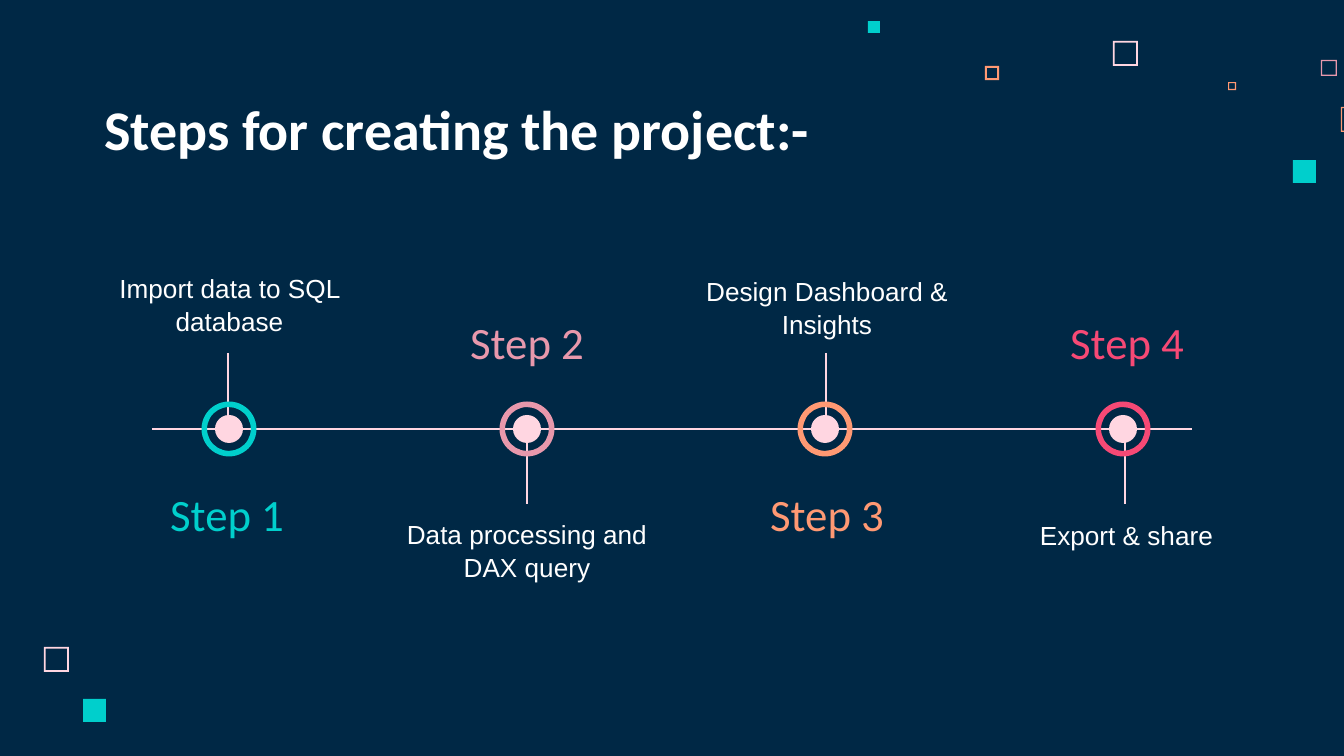
from lxml.etree import SubElement
from pptx import Presentation
from pptx.dml.color import RGBColor
from pptx.enum.shapes import MSO_CONNECTOR, MSO_SHAPE
from pptx.enum.text import MSO_ANCHOR, PP_ALIGN
from pptx.oxml.ns import qn
from pptx.util import Emu, Pt

NAVY = RGBColor(0x00, 0x28, 0x45)
WHITE = RGBColor(0xFF, 0xFF, 0xFF)
BLUSH = RGBColor(0xFF, 0xD6, 0xE1)
TEAL = RGBColor(0x00, 0xCF, 0xCC)
ROSE = RGBColor(0xE8, 0x98, 0xAC)
ORANGE = RGBColor(0xFF, 0x99, 0x73)
CRIMSON = RGBColor(0xF6, 0x49, 0x75)

PX_PER_INCH = 134.4
AXIS_Y = 429
DOT_SIZE, RING_SIZE = 28, 55

# Left, top, size, colour; frames also have a relative thickness
FRAMES = [
    (1113, 41, 25, BLUSH, 0.07),
    (1321, 60, 16, ROSE, 0.08),
    (1228, 82, 8, ORANGE, 0.15),
    (1341, 107, 25, ORANGE, 0.05),
    (985, 66, 14, ORANGE, 0.13),
    (44, 647, 25, BLUSH, 0.07),
]
SQUARES = [(1293, 160, 23, TEAL), (868, 21, 12, TEAL), (83, 699, 23, TEAL)]

# Description, its box, and the step colour
STEPS = [
    ("Import data to SQL database", (91, 255, 277, 95), TEAL),
    ("Data processing and DAX query", (372, 504, 310, 95), ROSE),
    ("Design Dashboard & Insights", (672, 258, 310, 95), ORANGE),
    ("Export & share", (988, 505, 277, 95), CRIMSON),
]


def px(length):
    return Emu(round(length * 914400 / PX_PER_INCH))


def add_filled(slide, kind, left, top, size, color, thickness=None):
    shape = slide.shapes.add_shape(kind, px(left), px(top), px(size), px(size))
    shape.shadow.inherit = False
    shape.fill.solid()
    shape.fill.fore_color.rgb = color
    shape.line.fill.background()
    if thickness is not None:
        shape.adjustments[0] = thickness
    return shape


def add_line(slide, start_x, start_y, end_x, end_y):
    line = slide.shapes.add_connector(
        MSO_CONNECTOR.STRAIGHT, px(start_x), px(start_y), px(end_x), px(end_y))
    line.line.color.rgb = BLUSH
    line.line.width = Pt(1.5)
    SubElement(line._element.spPr, qn("a:effectLst"))


def write_text(box, text, *, size, font, color=WHITE, bold=False,
               align=PP_ALIGN.CENTER, anchor=MSO_ANCHOR.MIDDLE, spacing=1.0):
    frame = box.text_frame
    frame.word_wrap = True
    frame.vertical_anchor = anchor
    frame.margin_left = frame.margin_right = px(13)
    frame.margin_top = frame.margin_bottom = px(13)
    para = frame.paragraphs[0]
    para.alignment = align
    para.line_spacing = spacing
    para.space_before = Pt(0)
    span = para.add_run()
    span.text = text
    span.font.size = Pt(size)
    span.font.name = font
    span.font.bold = bold
    span.font.color.rgb = color


def add_text(slide, left, top, width, height, text, **style):
    box = slide.shapes.add_textbox(px(left), px(top), px(width), px(height))
    write_text(box, text, **style)


def set_title(slide, text):
    title = slide.shapes.title
    title.left, title.top, title.width, title.height = map(px, (91, 90, 1153, 85))
    write_text(title, text, size=30, font="Calibri", bold=True,
               align=PP_ALIGN.LEFT, anchor=MSO_ANCHOR.BOTTOM)


def add_decorations(slide):
    for left, top, size, color, thickness in FRAMES:
        add_filled(slide, MSO_SHAPE.FRAME, left, top, size, color, thickness)
    for left, top, size, color in SQUARES:
        add_filled(slide, MSO_SHAPE.RECTANGLE, left, top, size, color)


def add_marker(slide, center_x, color):
    for kind, size, fill, thickness in (
            (MSO_SHAPE.OVAL, DOT_SIZE, BLUSH, None),
            (MSO_SHAPE.DONUT, RING_SIZE, color, 0.102)):
        add_filled(slide, kind, center_x - size / 2, AXIS_Y - size / 2,
                   size, fill, thickness)


def add_step(slide, index, description, description_box, color):
    # Descriptions alternate above and below the axis, labels opposite
    above = index % 2 == 0
    stem_top, stem_bottom = (353, 421) if above else (438, 504)
    stem_x = 228 + 299 * index
    add_line(slide, stem_x, stem_top, stem_x, stem_bottom)
    add_marker(slide, 229 + 298 * index, color)
    add_text(slide, *description_box, description, size=14, font="Arial",
             anchor=MSO_ANCHOR.BOTTOM if above else MSO_ANCHOR.TOP, spacing=1.05)
    add_text(slide, 132 + 300 * index, 482 if above else 310, 190, 63,
             f"Step {index + 1}", size=24, font="Calibri", color=color)


def main():
    deck = Presentation()
    deck.slide_width, deck.slide_height = px(1344), px(756)
    slide = deck.slides.add_slide(deck.slide_layouts[5])
    slide.background.fill.solid()
    slide.background.fill.fore_color.rgb = NAVY

    add_decorations(slide)
    set_title(slide, "Steps for creating the project:-")

    # Timeline
    add_line(slide, 152, AXIS_Y, 1192, AXIS_Y)
    for index, step in enumerate(STEPS):
        add_step(slide, index, *step)

    deck.save("out.pptx")


if __name__ == "__main__":
    main()
